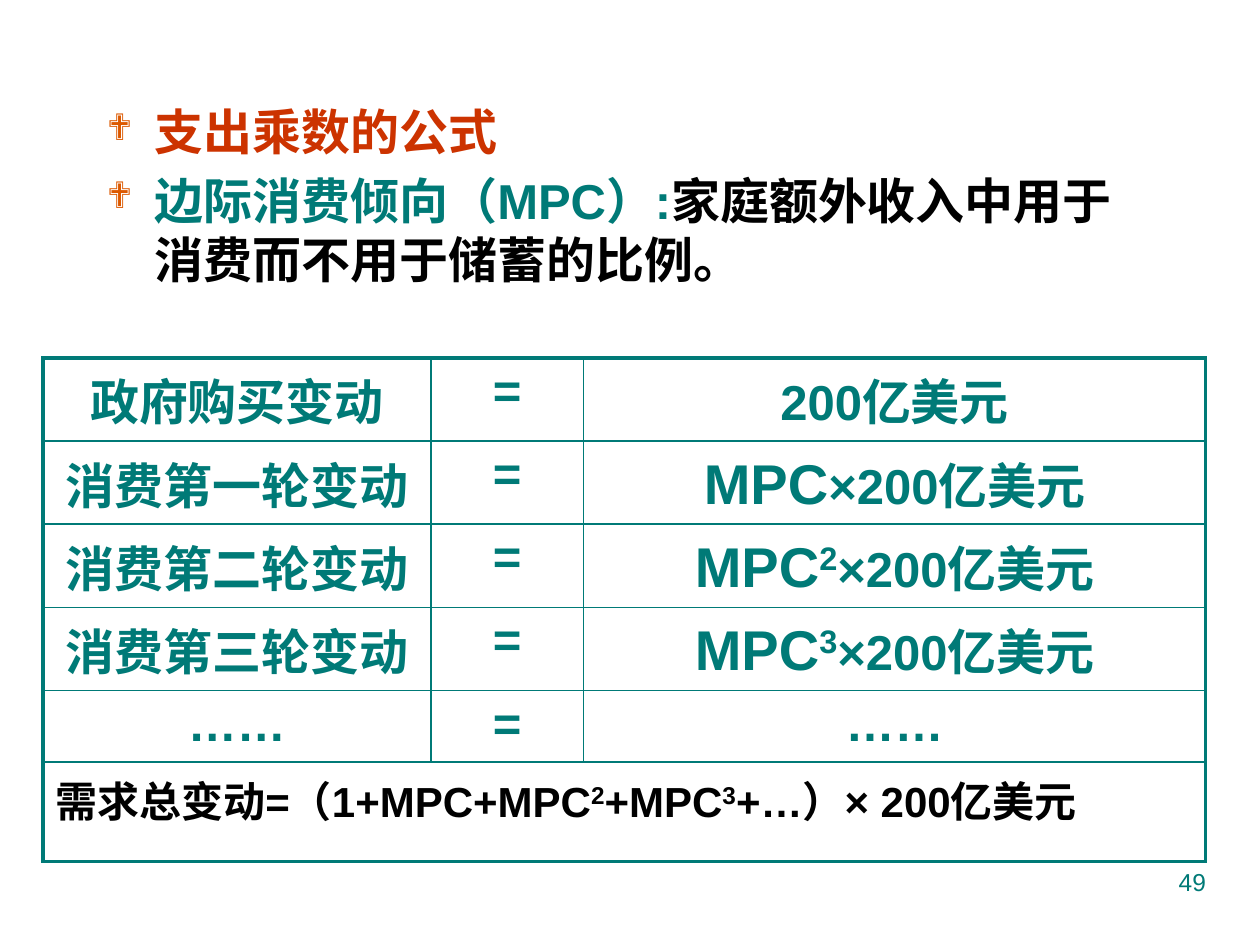
from lxml import etree
from pptx import Presentation
from pptx.dml.color import RGBColor
from pptx.enum.lang import MSO_LANGUAGE_ID as Lang
from pptx.enum.text import PP_ALIGN as Align
from pptx.oxml.ns import qn
from pptx.util import Inches, Pt

TEAL, RED, ORANGE, BLACK = "007A77", "CC3300", "DC5900", "000000"
THIN, THICK = 1, 2.25
UNIT = "×200亿美元"


def rgb(color):
    return RGBColor.from_string(color)


def sub(parent, tag, **attrs):
    return etree.SubElement(parent, qn(tag), attrs)


def add_run(p, text, size=28, color=TEAL, bold=True, raised=False):
    r = p.add_run()
    r.text = text
    f = r.font
    f.name, f.size, f.bold = "Arial", Pt(size), bold
    f.color.rgb = rgb(color)
    f.language_id = Lang.SIMPLIFIED_CHINESE
    if raised:
        r._r.get_or_add_rPr().set("baseline", "30000")


def fill_paragraph(p, runs, align=Align.LEFT, before=5.6):
    """Write runs given as (text, format) pairs."""
    p.alignment = align
    p.space_before = Pt(before)
    for text, fmt in runs:
        add_run(p, text, **fmt)


def add_bullet(p):
    pPr = p._p.get_or_add_pPr()
    pPr.set("marL", str(Inches(0.38)))
    pPr.set("indent", str(-Inches(0.38)))
    sub(sub(pPr, "a:buClr"), "a:srgbClr", val=ORANGE)
    sub(pPr, "a:buSzPct", val="75000")
    sub(pPr, "a:buFont", typeface="Wingdings")
    sub(pPr, "a:buChar", char="❖")


def add_text_frame(slide, left, top, width, height):
    box = slide.shapes.add_textbox(Inches(left), Inches(top), Inches(width), Inches(height))
    tf = box.text_frame
    tf.word_wrap = True
    return tf


def add_bullets(slide):
    tf = add_text_frame(slide, 0.75, 0.76, 8.35, 1.73)
    items = [
        [("支出乘数的公式", {"color": RED})],
        [("边际消费倾向（MPC）:", {}),
         ("家庭额外收入中用于消费而不用于储蓄的比例。", {"color": BLACK})],
    ]
    for i, runs in enumerate(items):
        p = tf.paragraphs[0] if i == 0 else tf.add_paragraph()
        fill_paragraph(p, runs)
        add_bullet(p)


def set_borders(cell, **widths):
    """Draw the cell's edges, keyed L, R, T, B, in points."""
    tcPr = cell._tc.get_or_add_tcPr()
    for side, width in widths.items():
        ln = sub(tcPr, f"a:ln{side}", w=str(Pt(width)))
        sub(sub(ln, "a:solidFill"), "a:srgbClr", val=TEAL)


def round_amount(power=""):
    raised = [(power, {"size": 32, "raised": True})] if power else []
    return [("MPC", {"size": 32}), *raised, (UNIT, {})]


def add_multiplier_table(slide):
    rows = [
        ("政府购买变动", [("200亿美元", {})]),
        ("消费第一轮变动", round_amount()),
        ("消费第二轮变动", round_amount("2")),
        ("消费第三轮变动", round_amount("3")),
        ("……", [("……", {})]),
    ]
    total = [("需求总变动=（1+MPC+MPC", {}), ("2", {"raised": True}), ("+MPC", {}),
             ("3", {"raised": True}), ("+…）× 200亿美元", {})]
    widths = [3.08, 1.21, 4.94]
    heights = [0.66] * 4 + [0.57, 0.79]
    last_row, last_col = len(heights) - 1, len(widths) - 1

    frame = slide.shapes.add_table(len(heights), len(widths), Inches(0.34), Inches(2.84),
                                   Inches(sum(widths)), Inches(sum(heights)))
    table = frame.table
    table.first_row = table.horz_banding = False
    for col, width in zip(table.columns, widths):
        col.width = Inches(width)
    for row, height in zip(table.rows, heights):
        row.height = Inches(height)

    for i in range(len(heights)):
        for j in range(len(widths)):
            cell = table.cell(i, j)
            set_borders(cell,
                        L=THICK if j == 0 else THIN,
                        R=THICK if j == last_col or i == last_row else THIN,
                        T=THICK if i == 0 else THIN,
                        B=THICK if i == last_row else THIN)
            cell.fill.background()

    for i, (label, amount) in enumerate(rows):
        for j, runs in enumerate([[(label, {})], [("=", {})], amount]):
            fill_paragraph(table.cell(i, j).text_frame.paragraphs[0], runs, Align.CENTER)

    total_cell = table.cell(last_row, 0)
    total_cell.merge(table.cell(last_row, last_col))
    total_runs = [(text, {"size": 24, "color": BLACK, **fmt}) for text, fmt in total]
    fill_paragraph(total_cell.text_frame.paragraphs[0], total_runs, before=4.8)


def add_page_number(slide):
    tf = add_text_frame(slide, 7.17, 6.83, 2.5, 0.52)
    fill_paragraph(tf.paragraphs[0], [("49", {"size": 14, "bold": False})], Align.RIGHT, before=0)


def main():
    prs = Presentation()
    prs.slide_width, prs.slide_height = Inches(10), Inches(7.5)
    slide = prs.slides.add_slide(prs.slide_layouts[6])
    add_bullets(slide)
    add_multiplier_table(slide)
    add_page_number(slide)
    prs.save("out.pptx")


if __name__ == "__main__":
    main()
